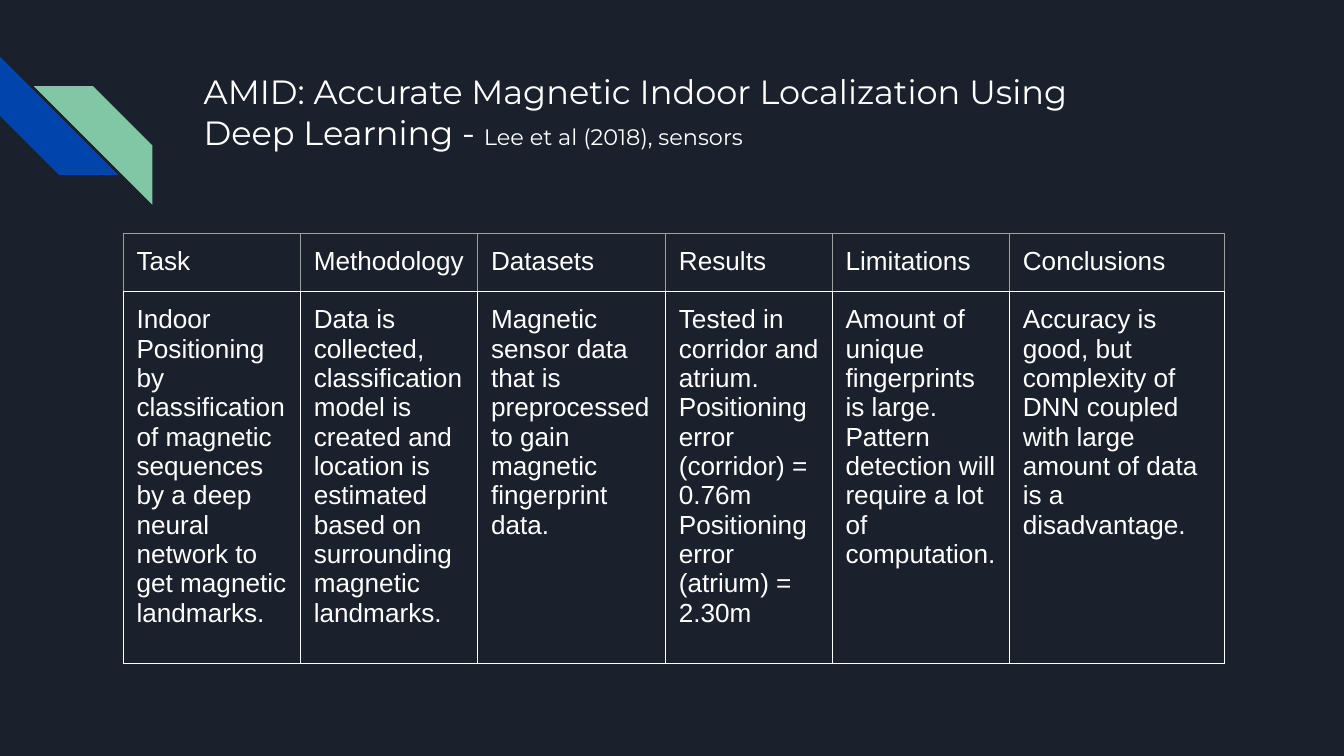
from lxml import etree
from pptx import Presentation
from pptx.dml.color import RGBColor
from pptx.enum.shapes import MSO_SHAPE
from pptx.enum.text import MSO_ANCHOR
from pptx.oxml.ns import qn
from pptx.util import Cm, Pt

STRIPE = MSO_SHAPE.DIAGONAL_STRIPE
TOP = MSO_ANCHOR.TOP
HUES = {"back": "1B212C", "blue": "0145AC", "green": "82C7A5",
        "white": "FFFFFF", "grey": "9E9E9E"}
PAD = Cm(0.25)


def add_run(para, text, size, font):
    run = para.add_run()
    run.text = text
    run.font.size = Pt(size)
    run.font.name = font
    run.font.bold = False
    run.font.color.rgb = RGBColor.from_string(HUES["white"])


def set_edges(cell, hues):
    """Draw the left, right, top and bottom borders of a cell."""
    props = cell._tc.get_or_add_tcPr()
    for spot, (side, hue) in enumerate(zip("LRTB", hues)):
        line = etree.Element(qn(f"a:ln{side}"), w=str(Pt(0.75)))
        fill = etree.SubElement(line, qn("a:solidFill"))
        etree.SubElement(fill, qn("a:srgbClr"), val=HUES[hue])
        props.insert(spot, line)


deck = Presentation()
deck.slide_width, deck.slide_height = Cm(25.4), Cm(14.29)
slide = deck.slides.add_slide(deck.slide_layouts[6])
slide.background.fill.solid()
slide.background.fill.fore_color.rgb = RGBColor.from_string(HUES["back"])

# Corner stripes
for left, top, turn, hue in [(0, 1.07, 270, "blue"), (0.64, 1.63, 90, "green")]:
    stripe = slide.shapes.add_shape(STRIPE, Cm(left), Cm(top), Cm(2.24), Cm(2.24))
    stripe.adjustments[0] = 0.5
    stripe.rotation = turn
    stripe.shadow.inherit = False
    stripe.fill.solid()
    stripe.fill.fore_color.rgb = RGBColor.from_string(HUES[hue])
    stripe.line.fill.background()

# Title
title = slide.shapes.add_textbox(Cm(3.6), Cm(1.1), Cm(19.56), Cm(2.54))
frame = title.text_frame
frame.word_wrap = True
frame.vertical_anchor = TOP
frame.margin_left = frame.margin_right = PAD
frame.margin_top = frame.margin_bottom = PAD
add_run(frame.paragraphs[0], "AMID: Accurate Magnetic Indoor Localization Using",
        18, "Montserrat")
para = frame.add_paragraph()
add_run(para, "Deep Learning - ", 18, "Montserrat")
add_run(para, "Lee et al (2018), sensors", 12, "Montserrat")

# Paper summary: heading, column width, paragraphs
COLS = [
    ("Task", 3.35, ["Indoor Positioning by classification of magnetic sequences "
                    "by a deep neural network to get magnetic landmarks."]),
    ("Methodology", 3.35, ["Data is collected, classification model is created and "
                           "location is estimated based on surrounding magnetic "
                           "landmarks."]),
    ("Datasets", 3.55, ["Magnetic sensor data that is preprocessed to gain "
                        "magnetic fingerprint data."]),
    ("Results", 3.15, ["Tested in corridor and atrium. Positioning error "
                       "(corridor) = 0.76m",
                       "Positioning error (atrium) = 2.30m"]),
    ("Limitations", 3.35, ["Amount of unique fingerprints is large. Pattern "
                           "detection will require a lot of computation."]),
    ("Conclusions", 4.06, ["Accuracy is good, but complexity of DNN coupled with "
                           "large amount of data is a disadvantage."]),
]
EDGES = [("grey", "grey", "grey", "white"), ("white",) * 4]
ROWS = [1.07, 6.61]

width = sum(wide for _, wide, _ in COLS)
table = slide.shapes.add_table(len(ROWS), len(COLS), Cm(2.33), Cm(4.42),
                               Cm(width), Cm(sum(ROWS))).table
table.first_row = table.horz_banding = False
for row, high in zip(table.rows, ROWS):
    row.height = Cm(high)
for col, (head, wide, body) in enumerate(COLS):
    table.columns[col].width = Cm(wide)
    for row, texts in enumerate([[head], body]):
        cell = table.cell(row, col)
        cell.fill.background()
        cell.vertical_anchor = TOP
        cell.margin_left = cell.margin_right = PAD
        cell.margin_top = cell.margin_bottom = PAD
        set_edges(cell, EDGES[row])
        for spot, text in enumerate(texts):
            frame = cell.text_frame
            para = frame.add_paragraph() if spot else frame.paragraphs[0]
            add_run(para, text, 14, "Arial")

deck.save("out.pptx")
